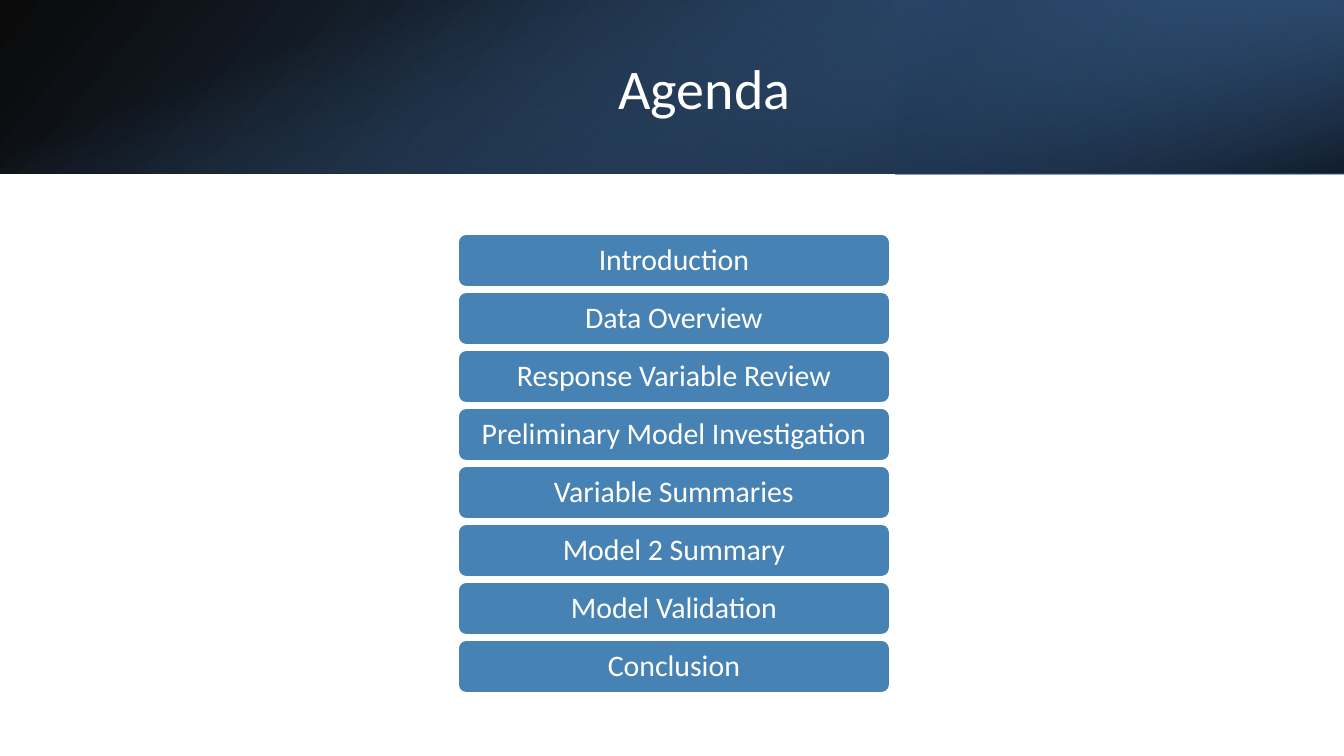
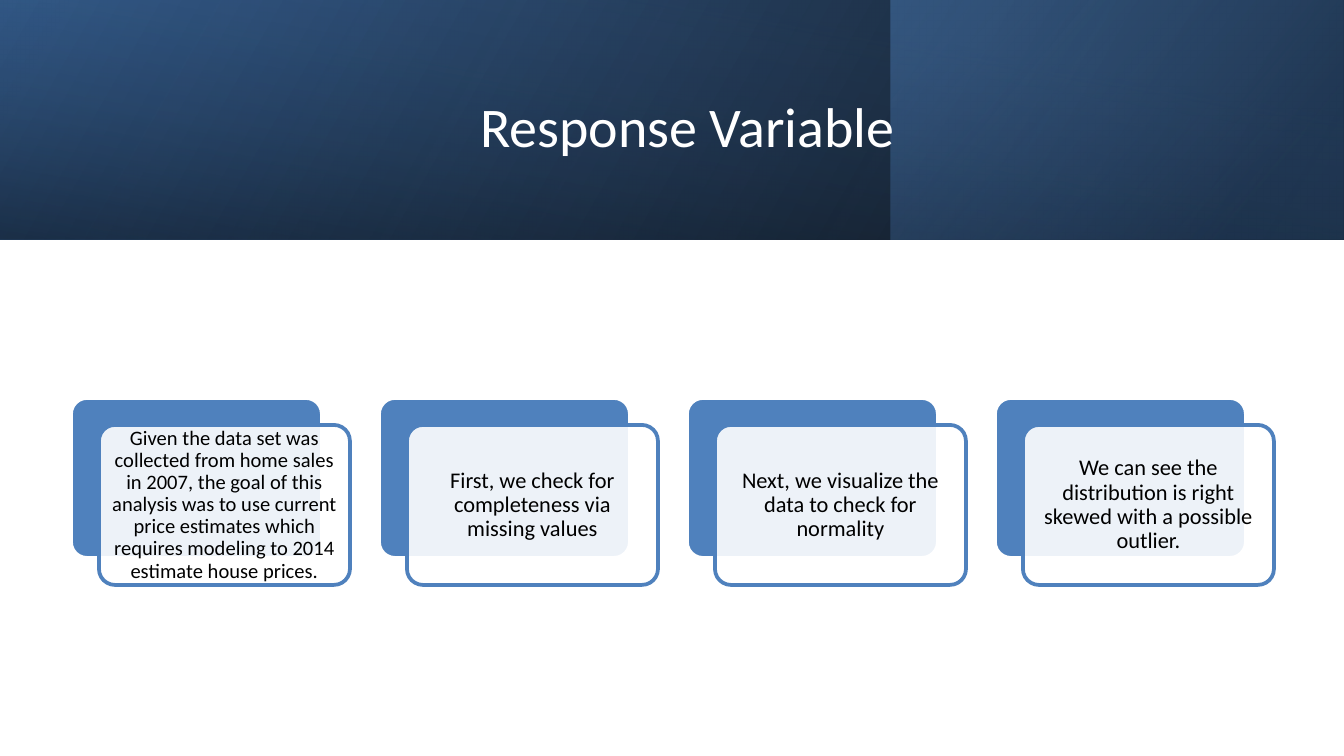
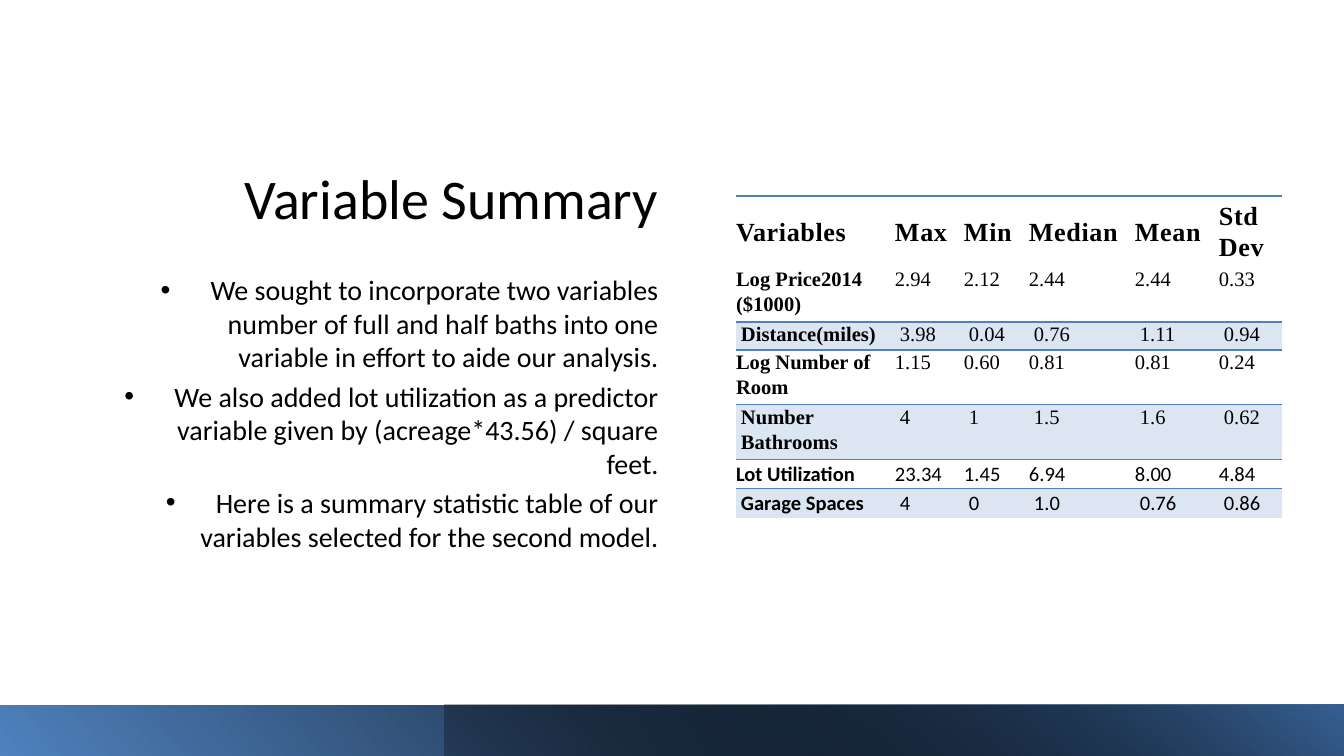
from lxml import etree
from pptx import Presentation
from pptx import util as u
from pptx.dml.color import RGBColor
from pptx.enum import shapes, text
from pptx.oxml import ns

EMU_PER_PX = 914400 / 134.4
WIDTH, HEIGHT = 1344, 756

WHITE = RGBColor(0xFF, 0xFF, 0xFF)
BLACK = RGBColor(0x00, 0x00, 0x00)
STEEL = RGBColor(0x46, 0x82, 0xB4)
BLUE = RGBColor(0x4F, 0x81, 0xBD)
DARK_BLUE = RGBColor(0x37, 0x60, 0x92)
NAVY = RGBColor(0x25, 0x40, 0x61)
PALE = RGBColor(0xDC, 0xE6, 0xF2)

SANS, SERIF = "Calibri", "Times New Roman"
NO_TABLE_STYLE = "{2D5ABB26-0587-4C30-8999-92F81FD0307C}"
TITLE_AND_BODY, TITLE_ONLY = 1, 5
LEFT, CENTER, RIGHT = text.PP_ALIGN.LEFT, text.PP_ALIGN.CENTER, text.PP_ALIGN.RIGHT
TOP, MIDDLE, BOTTOM = (text.MSO_ANCHOR.TOP, text.MSO_ANCHOR.MIDDLE,
                       text.MSO_ANCHOR.BOTTOM)


def px(length):
    return u.Emu(round(length * EMU_PER_PX))


def child(parent, tag, **attributes):
    element = etree.SubElement(parent, ns.qn(tag))
    for name, value in attributes.items():
        element.set(name, str(value))
    return element


def add_color(parent, color, alpha=100):
    element = child(parent, "a:srgbClr", val=color)
    if alpha < 100:
        child(element, "a:alpha", val=alpha * 1000)


def write(frame, *lines, size, color=BLACK, font=SANS, bold=False, align=LEFT,
          anchor=MIDDLE, spacing=None, before=0, tracking=None, bullet_indent=0):
    """Fill a text frame with one paragraph per line."""
    frame.word_wrap = True
    frame.vertical_anchor = anchor
    for index, line in enumerate(lines):
        paragraph = frame.add_paragraph() if index else frame.paragraphs[0]
        paragraph.alignment = align
        paragraph.line_spacing = spacing
        paragraph.space_before = u.Pt(before)
        run = paragraph.add_run()
        run.text = line
        run.font.size, run.font.name, run.font.bold = u.Pt(size), font, bold
        run.font.color.rgb = color
        if tracking:
            run.font._element.set("spc", str(tracking))
        if bullet_indent:
            properties = paragraph._p.get_or_add_pPr()
            properties.set("marL", str(px(bullet_indent)))
            properties.set("indent", str(-px(bullet_indent)))
            child(properties, "a:buFont", typeface="Arial")
            child(properties, "a:buChar", char="•")


def set_margins(target, left, top, right, bottom):
    target.margin_left, target.margin_top = px(left), px(top)
    target.margin_right, target.margin_bottom = px(right), px(bottom)


class Deck:
    def __init__(self):
        self.presentation = Presentation()
        self.presentation.slide_width = px(WIDTH)
        self.presentation.slide_height = px(HEIGHT)
        self.slide = None

    def new_slide(self, layout=TITLE_ONLY):
        layouts = self.presentation.slide_layouts
        self.slide = self.presentation.slides.add_slide(layouts[layout])

    def shape(self, kind, box, fill=None, alpha=100, line=None):
        shape = self.slide.shapes.add_shape(kind, *map(px, box))
        shape.shadow.inherit = False
        if fill is not None:
            shape.fill.solid()
            shape.fill.fore_color.rgb = fill
            if alpha < 100:
                color = shape._element.spPr.find(".//" + ns.qn("a:srgbClr"))
                child(color, "a:alpha", val=alpha * 1000)
        if line is None:
            shape.line.fill.background()
        else:
            shape.line.color.rgb = line
            shape.line.width = u.Pt(2)
        return shape

    def band(self, box, stops, angle, rotation=0, flip=True):
        """Rectangle with a gradient of (position, color, alpha) stops."""
        shape = self.shape(shapes.MSO_SHAPE.RECTANGLE, box)
        shape.rotation = rotation
        properties = shape._element.spPr
        if flip:
            properties.xfrm.set("flipH", "1")
        gradient = etree.Element(ns.qn("a:gradFill"), rotWithShape="1")
        stop_list = child(gradient, "a:gsLst")
        for position, color, alpha in stops:
            add_color(child(stop_list, "a:gs", pos=position * 1000), color, alpha)
        child(gradient, "a:lin", ang=angle * 60000, scaled=0)
        properties.find(ns.qn("a:prstGeom")).addnext(gradient)

    def header(self, height, base_angle, corner, corner_stops, corner_rotation,
               sheen_stops, sheen_angle, sheen_rotation, sheen_flip):
        """Three layered gradients across the top of the slide."""
        self.band((0, 0, WIDTH, height),
                  [(0, BLACK, 96), (100, DARK_BLUE, 100)], base_angle)
        left, width = corner
        self.band((left, 0, width, height), corner_stops, 320, corner_rotation)
        offset = (WIDTH - height) / 2
        self.band((offset, -offset, height, WIDTH), sheen_stops, sheen_angle,
                  sheen_rotation, sheen_flip)

    def placeholder(self, shape, box, *lines, **style):
        shape.left, shape.top, shape.width, shape.height = map(px, box)
        shape.text_frame.auto_size = text.MSO_AUTO_SIZE.NONE
        write(shape.text_frame, *lines, **style)
        # Bring the text in front of the bands drawn so far
        self.slide.shapes._spTree.append(shape._element)

    def title(self, box, words, color=WHITE, align=CENTER, anchor=MIDDLE):
        self.placeholder(self.slide.shapes.title, box, words, size=30,
                         color=color, align=align, anchor=anchor)

    def body(self, box, *lines):
        self.placeholder(self.slide.placeholders[1], box, *lines, size=15,
                         align=RIGHT, anchor=TOP, before=3, bullet_indent=50)

    def rounded(self, box, words="", radius=None, size=12, color=BLACK,
                margins=(7, 7, 7, 7), **look):
        shape = self.shape(shapes.MSO_SHAPE.ROUNDED_RECTANGLE, box, **look)
        if radius is not None:
            shape.adjustments[0] = radius
        if words:
            set_margins(shape.text_frame, *margins)
            write(shape.text_frame, words, size=size, color=color,
                  align=CENTER, spacing=0.9)

    def top_border(self, cell, width):
        properties = cell._tc.get_or_add_tcPr()
        line = etree.Element(ns.qn("a:lnT"), w=str(u.Pt(width)))
        add_color(child(line, "a:solidFill"), BLUE)
        properties.insert(0, line)

    def table(self, left, top, widths, heights, rows, sans_rows):
        box = (left, top, sum(widths), sum(heights))
        table = self.slide.shapes.add_table(len(rows), len(widths),
                                            *map(px, box)).table
        table.first_row = table.horz_banding = False
        table._tbl.tblPr.find(ns.qn("a:tableStyleId")).text = NO_TABLE_STYLE
        for column, width in zip(table.columns, widths):
            column.width = px(width)
        for row_number, (row, height) in enumerate(zip(rows, heights)):
            table.rows[row_number].height = px(height)
            heading = row_number == 0
            shaded = row_number > 0 and row_number % 2 == 0
            for column_number, value in enumerate(row):
                cell = table.cell(row_number, column_number)
                set_margins(cell, 5 if shaded else 0, 0, 1 if heading else 9, 0)
                write(cell.text_frame, value, size=14 if heading else 11,
                      font=SANS if row_number in sans_rows else SERIF,
                      bold=heading or column_number == 0, spacing=1.07,
                      tracking=30 if heading else None)
                cell.vertical_anchor = MIDDLE if heading else TOP
                if shaded:
                    cell.fill.solid()
                    cell.fill.fore_color.rgb = PALE
                else:
                    cell.fill.background()
                if heading or shaded:
                    self.top_border(cell, 1.5 if heading else 0.75)


def agenda(deck):
    deck.new_slide()
    deck.header(174, 140, corner=(896, 448), corner_rotation=180,
                corner_stops=[(19, NAVY, 68), (100, BLUE, 79)],
                sheen_stops=[(23, BLUE, 0), (99, BLACK, 74)],
                sheen_angle=340, sheen_rotation=90, sheen_flip=False)
    deck.title((151, 39, 1107, 97), "Agenda")
    topics = ["Introduction", "Data Overview", "Response Variable Review",
              "Preliminary Model Investigation", "Variable Summaries",
              "Model 2 Summary", "Model Validation", "Conclusion"]
    for index, topic in enumerate(topics):
        deck.rounded((457, 233 + 58 * index, 434, 55), topic, size=16,
                     color=WHITE, margins=(9, 4, 9, 4), fill=STEEL, line=WHITE)


def response_variable(deck):
    deck.new_slide()
    deck.header(240, 330, corner=(891, 452), corner_rotation=0,
                corner_stops=[(19, NAVY, 68), (100, BLUE, 48)],
                sheen_stops=[(23, DARK_BLUE, 16), (99, BLACK, 45)],
                sheen_angle=350, sheen_rotation=270, sheen_flip=True)
    deck.title((152, 39, 1071, 173), "Response Variable")
    steps = [
        ("Given the data set was collected from home sales in 2007, the goal of "
         "this analysis was to use current price estimates which requires "
         "modeling to 2014 estimate house prices.", 11),
        ("First, we check for completeness via missing values", 12),
        ("Next, we visualize the data to check for normality", 12),
        ("We can see the distribution is right skewed with a possible outlier.",
         12),
    ]
    # Each card is a blue back plate with an offset translucent front
    for index, (words, size) in enumerate(steps):
        left = 71 + 308 * index
        deck.rounded((left, 398, 251, 160), radius=0.1, fill=BLUE, line=WHITE)
        deck.rounded((left + 28, 425, 251, 160), words, radius=0.1, size=size,
                     fill=WHITE, alpha=90, line=BLUE)


def variable_summary(deck):
    deck.new_slide(TITLE_AND_BODY)
    deck.title((101, 54, 571, 183), "Variable Summary", color=BLACK,
               align=RIGHT, anchor=BOTTOM)
    deck.body(
        (101, 266, 571, 376),
        "We sought to incorporate two variables number of full and half baths "
        "into one variable in effort to aide our analysis.",
        "We also added lot utilization as a predictor variable given by "
        "(acreage*43.56) / square feet.",
        "Here is a summary statistic table of our variables selected for the "
        "second model.")
    # Footer bands
    deck.band((0, 705, WIDTH, 51), [(0, BLUE, 100), (85, BLACK, 100)], 40, 180)
    deck.band((445, 705, 899, 51), [(0, BLACK, 26), (100, DARK_BLUE, 100)], 230)
    rows = [
        ["Variables", "Max", "Min", "Median", "Mean", "Std Dev"],
        ["Log Price2014 ($1000)", "2.94", "2.12", "2.44", "2.44", "0.33"],
        ["Distance(miles)", "3.98", "0.04", "0.76", "1.11", "0.94"],
        ["Log Number of Room", "1.15", "0.60", "0.81", "0.81", "0.24"],
        ["Number Bathrooms", "4", "1", "1.5", "1.6", "0.62"],
        ["Lot Utilization", "23.34", "1.45", "6.94", "8.00", "4.84"],
        ["Garage Spaces", "4", "0", "1.0", "0.76", "0.86"],
    ]
    deck.table(736, 196, widths=[159, 69, 65, 106, 84, 63],
               heights=[71, 55, 28, 55, 55, 29, 29], rows=rows, sans_rows=(5, 6))


def main():
    deck = Deck()
    agenda(deck)
    response_variable(deck)
    variable_summary(deck)
    deck.presentation.save("out.pptx")


if __name__ == "__main__":
    main()
